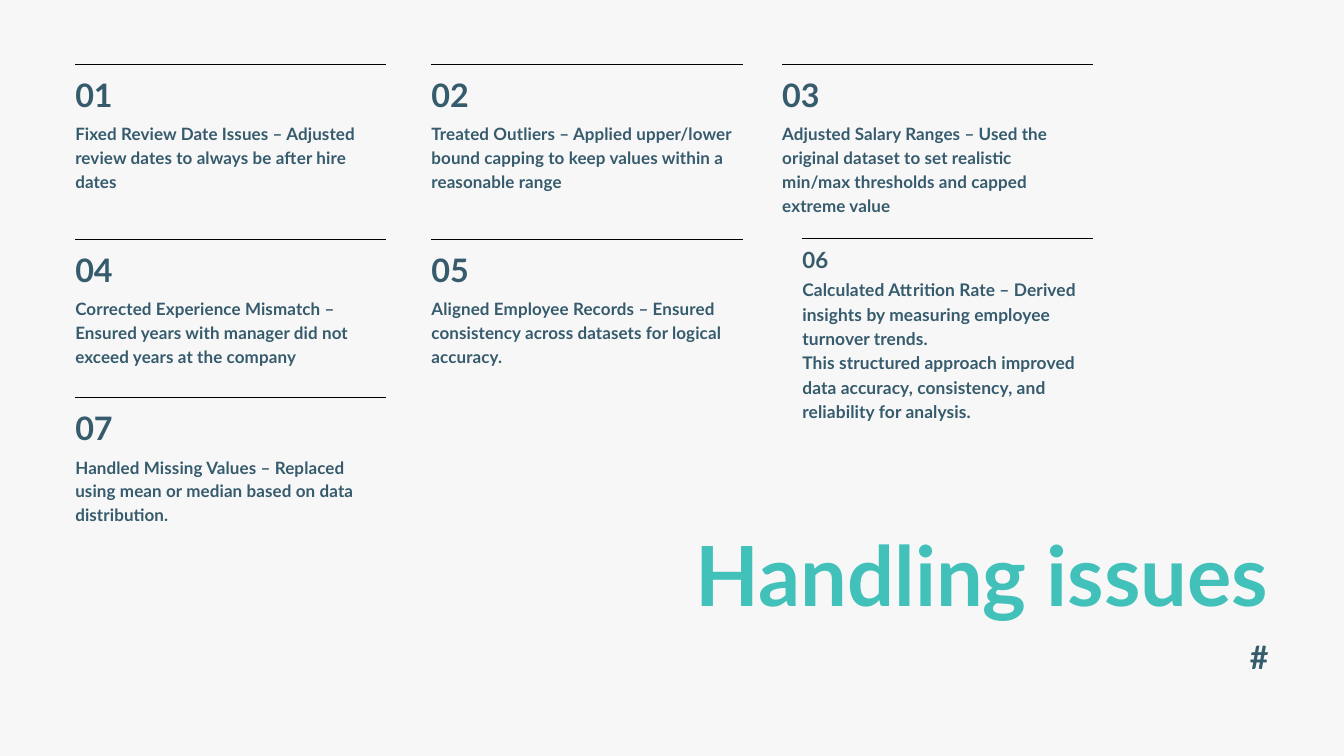
from pptx import Presentation
from pptx.dml.color import RGBColor
from pptx.enum.shapes import MSO_CONNECTOR
from pptx.enum.text import MSO_ANCHOR, MSO_AUTO_SIZE, PP_ALIGN
from pptx.oxml.ns import qn
from pptx.util import Inches, Pt
from lxml import etree

BACKGROUND = RGBColor(0xF7, 0xF7, 0xF7)
TEAL = RGBColor(0x41, 0xC1, 0xBA)
SLATE = RGBColor(0x36, 0x5B, 0x6D)
BLACK = RGBColor(0, 0, 0)


def fill_text(sp, paragraphs, size, leading, color=SLATE, align=PP_ALIGN.LEFT, spacing=0):
    """Set bold Lato text; size and leading in points, spacing in 1/100 point."""
    tf = sp.text_frame
    tf.word_wrap = True
    tf.auto_size = MSO_AUTO_SIZE.NONE
    tf.vertical_anchor = MSO_ANCHOR.TOP
    tf.margin_left = tf.margin_right = tf.margin_top = tf.margin_bottom = 0
    for i, text in enumerate(paragraphs):
        p = tf.add_paragraph() if i else tf.paragraphs[0]
        p.alignment = align
        p.line_spacing = Pt(leading)
        p.space_before = Pt(0)
        r = p.add_run()
        r.text = text
        r.font.name = "Lato"
        r.font.size = Pt(size)
        r.font.bold = True
        r.font.color.rgb = color
        if spacing:
            r.font._element.set("spc", str(spacing))


def add_rule(s, left, top, right, width):
    line = s.shapes.add_connector(MSO_CONNECTOR.STRAIGHT, Inches(left), Inches(top),
                                  Inches(right), Inches(top))
    line.line.color.rgb = BLACK
    line.line.width = Pt(width)
    etree.SubElement(line._element.spPr, qn("a:effectLst"))


prs = Presentation()
prs.slide_width, prs.slide_height = Inches(20), Inches(11.25)
s = prs.slides.add_slide(prs.slide_layouts[5])
s.background.fill.solid()
s.background.fill.fore_color.rgb = BACKGROUND

title = s.shapes.title
title.left, title.top = Inches(7.51), Inches(7.79)
title.width, title.height = Inches(11.37), Inches(1.49)
fill_text(title, ["Handling issues"], 88.9, 106.7, TEAL, PP_ALIGN.RIGHT)

page_mark = s.shapes.add_textbox(Inches(7.51), Inches(9.44), Inches(11.37), Inches(0.6))
fill_text(page_mark, ["#"], 34.6, 44.9, align=PP_ALIGN.RIGHT)

# Text width, rule width and weight, offsets below the rule, (size, leading) pairs
REGULAR = dict(text_w=4.42, rule_w=4.63, weight=1, number_dy=0.11, body_dy=0.83,
               number=(34.6, 44.9), body=(18.2, 25.5))
COMPACT = dict(text_w=4.13, rule_w=4.32, weight=0.69, number_dy=0.08, body_dy=0.56,
               number=(23.9, 31), body=(18.6, 26))
WIDE = dict(REGULAR, text_w=4.63)

COL_1, COL_2, COL_3 = 1.12, 6.42, 11.64
ROW_1, ROW_2, ROW_3 = 0.96, 3.56, 5.92

issues = [
    (COL_1, ROW_1, REGULAR,
     ["Fixed Review Date Issues – Adjusted review dates to always be after hire dates"]),
    (COL_2, ROW_1, WIDE,
     ["Treated Outliers – Applied upper/lower bound capping to keep values within a "
      "reasonable range"]),
    (COL_3, ROW_1, REGULAR,
     ["Adjusted Salary Ranges – Used the original dataset to set realistic min/max "
      "thresholds and capped extreme value"]),
    (COL_1, ROW_2, REGULAR,
     ["Corrected Experience Mismatch – Ensured years with manager did not exceed years "
      "at the company"]),
    (COL_2, ROW_2, REGULAR,
     ["Aligned Employee Records – Ensured consistency across datasets for logical accuracy."]),
    (COL_3 + 0.3, ROW_2 - 0.01, COMPACT,
     ["Calculated Attrition Rate – Derived insights by measuring employee turnover trends.",
      "This structured approach improved data accuracy, consistency, and reliability for "
      "analysis."]),
    (COL_1, ROW_3, REGULAR,
     ["Handled Missing Values – Replaced using mean or median based on data distribution."]),
]

for n, (left, top, style, body) in enumerate(issues, 1):
    add_rule(s, left, top, left + style["rule_w"], style["weight"])
    width = Inches(style["text_w"])

    size, leading = style["number"]
    number_box = s.shapes.add_textbox(Inches(left), Inches(top + style["number_dy"]),
                                      width, Pt(leading))
    fill_text(number_box, [f"{n:02}"], size, leading)

    size, leading = style["body"]
    lines = 6 if style is COMPACT else 4 if n == 3 else 3
    body_box = s.shapes.add_textbox(Inches(left), Inches(top + style["body_dy"]),
                                    width, Pt(leading * lines))
    fill_text(body_box, body, size, leading, spacing=10)

prs.save("out.pptx")
